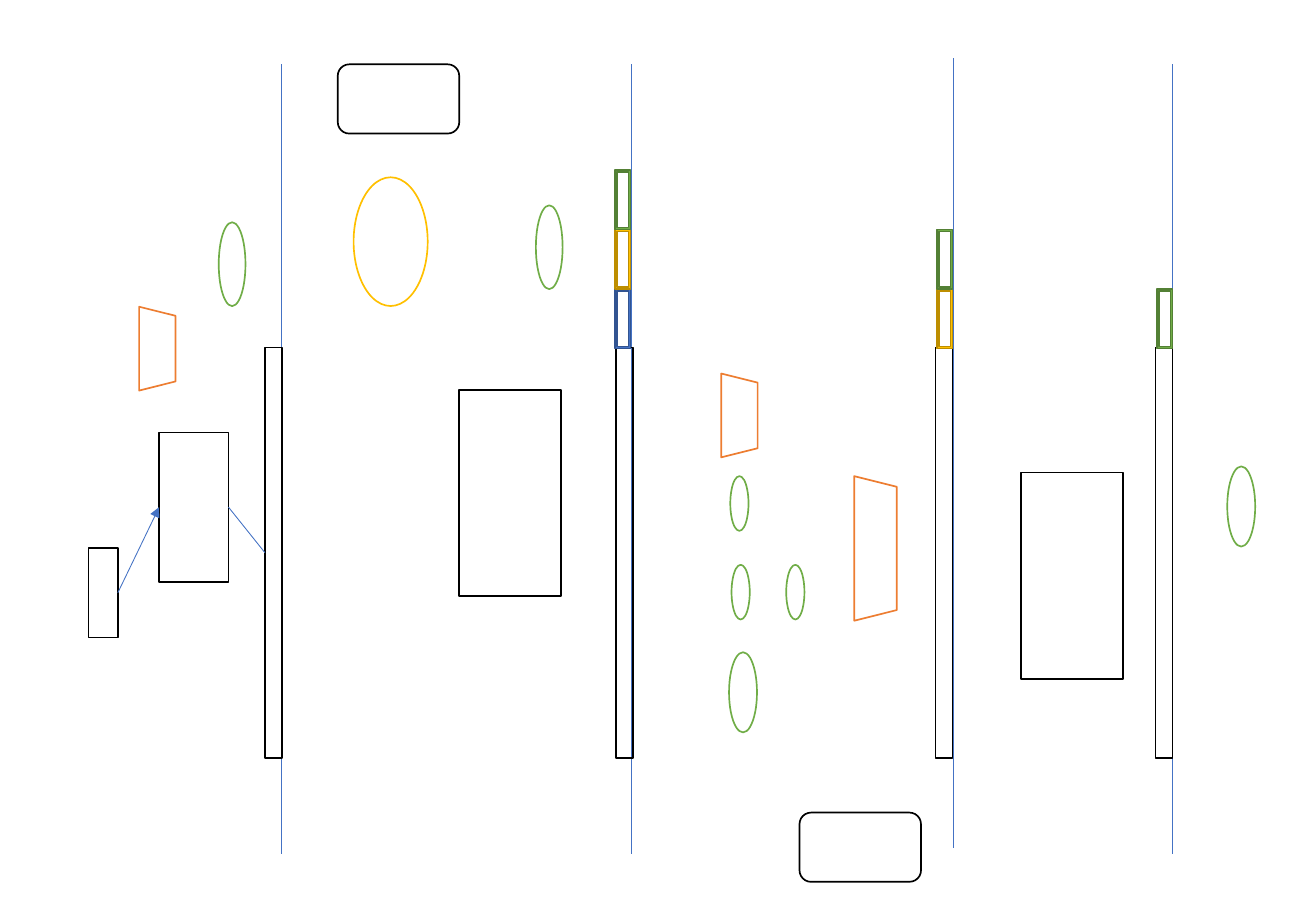
"""Draw the outline of a five-stage processor pipeline on one slide."""
from dataclasses import dataclass

from lxml import etree
from pptx import Presentation
from pptx.dml.color import RGBColor
from pptx.enum.shapes import MSO_CONNECTOR, MSO_SHAPE
from pptx.oxml.ns import qn
from pptx.util import Inches, Pt

RECTANGLE = MSO_SHAPE.RECTANGLE
ROUNDED = MSO_SHAPE.ROUNDED_RECTANGLE
TRAPEZOID = MSO_SHAPE.TRAPEZOID
ELLIPSE = MSO_SHAPE.OVAL
FRAME = MSO_SHAPE.FRAME
STRAIGHT = MSO_CONNECTOR.STRAIGHT
LEFT_SITE, RIGHT_SITE = 1, 3


@dataclass(frozen=True)
class Theme:
    """Colours, line widths and font of the diagram."""
    white: str = "FFFFFF"
    black: str = "000000"
    blue: str = "4472C4"
    dark_blue: str = "325491"
    green: str = "70AD47"
    dark_green: str = "538035"
    gold: str = "FFC000"
    dark_gold: str = "BD8E00"
    orange: str = "ED7D31"
    outline: float = 1
    hairline: float = 0.5
    font: str = "Calibri"
    text_size: float = 18


class Diagram:
    """Holds the theme and the current page."""

    def __init__(self, page, theme):
        self.page = page
        self.theme = theme

    def stroke(self, line, color, width):
        line.color.rgb = RGBColor.from_string(color)
        line.width = Pt(width)

    def shape(self, kind, place, color, fill=None, rotation=0):
        box = self.page.shapes.add_shape(kind, *map(Inches, place))
        box.shadow.inherit = False
        box.rotation = rotation
        if fill:
            box.fill.solid()
            box.fill.fore_color.rgb = RGBColor.from_string(fill)
        else:
            box.fill.background()
        self.stroke(box.line, color, self.theme.outline)
        font = box.text_frame.paragraphs[0].font
        formats = {"name": self.theme.font, "size": Pt(self.theme.text_size)}
        for name, value in formats.items():
            setattr(font, name, value)
        font.color.rgb = RGBColor.from_string(self.theme.black)
        return box

    def block(self, kind, place, color, rotation=0):
        return self.shape(kind, place, color, self.theme.white, rotation)

    def line(self, start=(0, 0), end=(0, 0)):
        wire = self.page.shapes.add_connector(STRAIGHT, *map(Inches, start + end))
        self.stroke(wire.line, self.theme.blue, self.theme.hairline)
        etree.SubElement(wire._element.spPr, qn("a:effectLst"))
        return wire

    def link(self, source, target, arrow=False):
        wire = self.line()
        wire.begin_connect(source, RIGHT_SITE)
        wire.end_connect(target, LEFT_SITE)
        if arrow:
            etree.SubElement(wire.get_or_add_ln(), qn("a:tailEnd"), type="triangle")


def main():
    theme = Theme()
    deck = Presentation()
    deck.slide_width, deck.slide_height = Inches(10.83), Inches(7.5)
    diagram = Diagram(deck.slides.add_slide(deck.slide_layouts[6]), theme)

    for x, top in ((9.65, 0.53), (2.32, 0.53), (5.2, 0.53), (7.85, 0.48)):
        diagram.line((x, top), (x, top + 6.5))

    registers = [diagram.shape(RECTANGLE, (left, 2.86, 0.14, 3.38), theme.black)
                 for left in (2.18, 5.07, 7.7, 9.51)]

    instruction_memory = diagram.block(RECTANGLE, (1.31, 3.56, 0.57, 1.23), theme.black)
    program_counter = diagram.block(RECTANGLE, (0.73, 4.51, 0.24, 0.74), theme.black)
    for left, top in ((8.4, 3.89), (3.78, 3.21)):
        diagram.block(RECTANGLE, (left, top, 0.84, 1.7), theme.black)

    for place in ((6.61, 4.34, 1.19, 0.35), (5.74, 3.27, 0.69, 0.3),
                  (0.95, 2.72, 0.69, 0.3)):
        diagram.block(TRAPEZOID, place, theme.orange, rotation=90)

    for left, top in ((2.78, 0.53), (6.58, 6.69)):
        diagram.block(ROUNDED, (left, top, 1, 0.57), theme.black)

    ellipses = {
        (0.22, 0.69): ((4.41, 1.69), (1.8, 1.83)),
        (0.15, 0.45): ((6.01, 3.92), (6.47, 4.65), (6.02, 4.65)),
        (0.23, 0.66): ((6, 5.37), (10.1, 3.84)),
    }
    for size, corners in ellipses.items():
        for corner in corners:
            diagram.block(ELLIPSE, corner + size, theme.green)
    diagram.block(ELLIPSE, (2.91, 1.46, 0.61, 1.06), theme.gold)

    execute = (theme.blue, theme.dark_blue)
    memory = (theme.gold, theme.dark_gold)
    write_back = (theme.green, theme.dark_green)
    control_stacks = (
        (5.06, (execute, memory, write_back)),
        (7.71, (memory, write_back)),
        (9.52, (write_back,)),
    )
    for left, signals in control_stacks:
        for level, (fill, edge) in enumerate(signals):
            diagram.shape(FRAME, (left, 2.38 - 0.49 * level, 0.13, 0.49), edge, fill)

    diagram.link(program_counter, instruction_memory, arrow=True)
    diagram.link(instruction_memory, registers[0])
    deck.save("out.pptx")


main()
